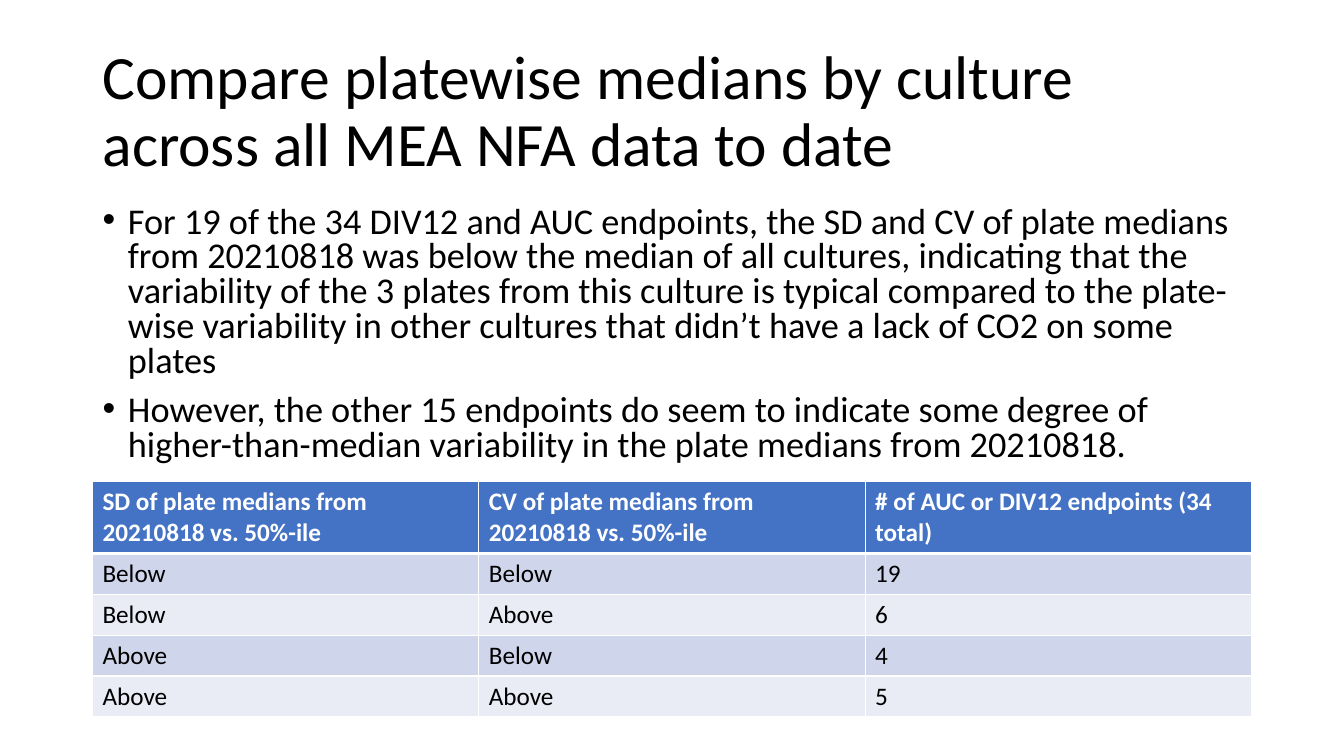
"""Build a slide with a title, two bullets and a table of endpoint counts."""
import pptx
import pptx.dml.color
import pptx.enum.text
import pptx.oxml
import pptx.oxml.ns
import pptx.util

Cm, Pt = pptx.util.Cm, pptx.util.Pt
ENUM = pptx.enum.text
HUES = {"ink": "000000", "paper": "FFFFFF", "head": "4472C4",
        "odd": "CFD5EA", "even": "E9EBF5"}
LEFT, WIDTH = 2.33, 29.21
TITLE = "Compare platewise medians by culture across all MEA NFA data to date"
POINTS = [
    "For 19 of the 34 DIV12 and AUC endpoints, the SD and CV of plate medians "
    "from 20210818 was below the median of all cultures, indicating that the "
    "variability of the 3 plates from this culture is typical compared to the "
    "plate-wise variability in other cultures that didn’t have a lack of CO2 "
    "on some plates",
    "However, the other 15 endpoints do seem to indicate some degree of "
    "higher-than-median variability in the plate medians from 20210818.",
]
ROWS = [
    ("SD of plate medians from 20210818 vs. 50%-ile",
     "CV of plate medians from 20210818 vs. 50%-ile",
     "# of AUC or DIV12 endpoints (34 total)"),
    ("Below", "Below", "19"),
    ("Below", "Above", "6"),
    ("Above", "Below", "4"),
    ("Above", "Above", "5"),
]


def apply(item, form):
    for name, value in form.items():
        setattr(item, name, value)


def color(name):
    return pptx.dml.color.RGBColor.from_string(HUES[name])


def write(para, text, size, hue="ink", bold=False):
    run = para.add_run()
    run.text = text
    apply(run.font, {"name": "Calibri", "size": Pt(size), "bold": bold})
    run.font.color.rgb = color(hue)


def fill_box(box, top, height, texts, size, form, anchor):
    apply(box, {"left": Cm(LEFT), "top": Cm(top),
                "width": Cm(WIDTH), "height": Cm(height)})
    frame = box.text_frame
    apply(frame, {"word_wrap": True, "auto_size": ENUM.MSO_AUTO_SIZE.NONE,
                  "vertical_anchor": anchor})
    for index, text in enumerate(texts):
        para = frame.add_paragraph() if index else frame.paragraphs[0]
        apply(para, {"alignment": ENUM.PP_ALIGN.LEFT, **form})
        write(para, text, size)


def indent(box, depth):
    for para in box.text_frame.paragraphs:
        props = para._p.get_or_add_pPr()
        props.set("marL", str(Cm(depth)))
        props.set("indent", str(-Cm(depth)))


def edge(cell, side, width):
    space = pptx.oxml.ns.nsdecls("a")
    cell._tc.get_or_add_tcPr().append(pptx.oxml.parse_xml(
        f'<a:{side} {space} w="{Pt(width)}"><a:solidFill>'
        f'<a:srgbClr val="{HUES["paper"]}"/></a:solidFill></a:{side}>'))


def add_grid(slide, top, head, body):
    count = len(ROWS[0])
    height = head + body * (len(ROWS) - 1)
    table = slide.shapes.add_table(len(ROWS), count, Cm(LEFT), Cm(top),
                                   Cm(WIDTH), Cm(height)).table
    for col in table.columns:
        col.width = Cm(WIDTH / count)
    for r, row in enumerate(ROWS):
        table.rows[r].height = Cm(body if r else head)
        shade = ("even", "odd")[r % 2] if r else "head"
        for c, text in enumerate(row):
            cell = table.cell(r, c)
            sides = {"lnL": 1, "lnR": 1, "lnT": 3 if r == 1 else 1,
                     "lnB": 1 if r else 3}
            for side, width in sides.items():
                edge(cell, side, width)
            cell.fill.solid()
            cell.fill.fore_color.rgb = color(shade)
            write(cell.text_frame.paragraphs[0], text, 18,
                  "ink" if r else "paper", r == 0)


def main():
    deck = pptx.Presentation()
    apply(deck, {"slide_width": Cm(33.87), "slide_height": Cm(19.05)})
    slide = deck.slides.add_slide(deck.slide_layouts[1])
    title, body = slide.placeholders
    fill_box(title, 1.01, 3.68, [TITLE], 44, {"line_spacing": 0.9},
             ENUM.MSO_ANCHOR.MIDDLE)
    fill_box(body, 5.07, 7.06, POINTS, 25.9,
             {"line_spacing": 0.8, "space_before": Pt(10)},
             ENUM.MSO_ANCHOR.TOP)
    indent(body, 0.64)
    add_grid(slide, 12.14, 1.78, 1.03)
    deck.save("out.pptx")


if __name__ == "__main__":
    main()
